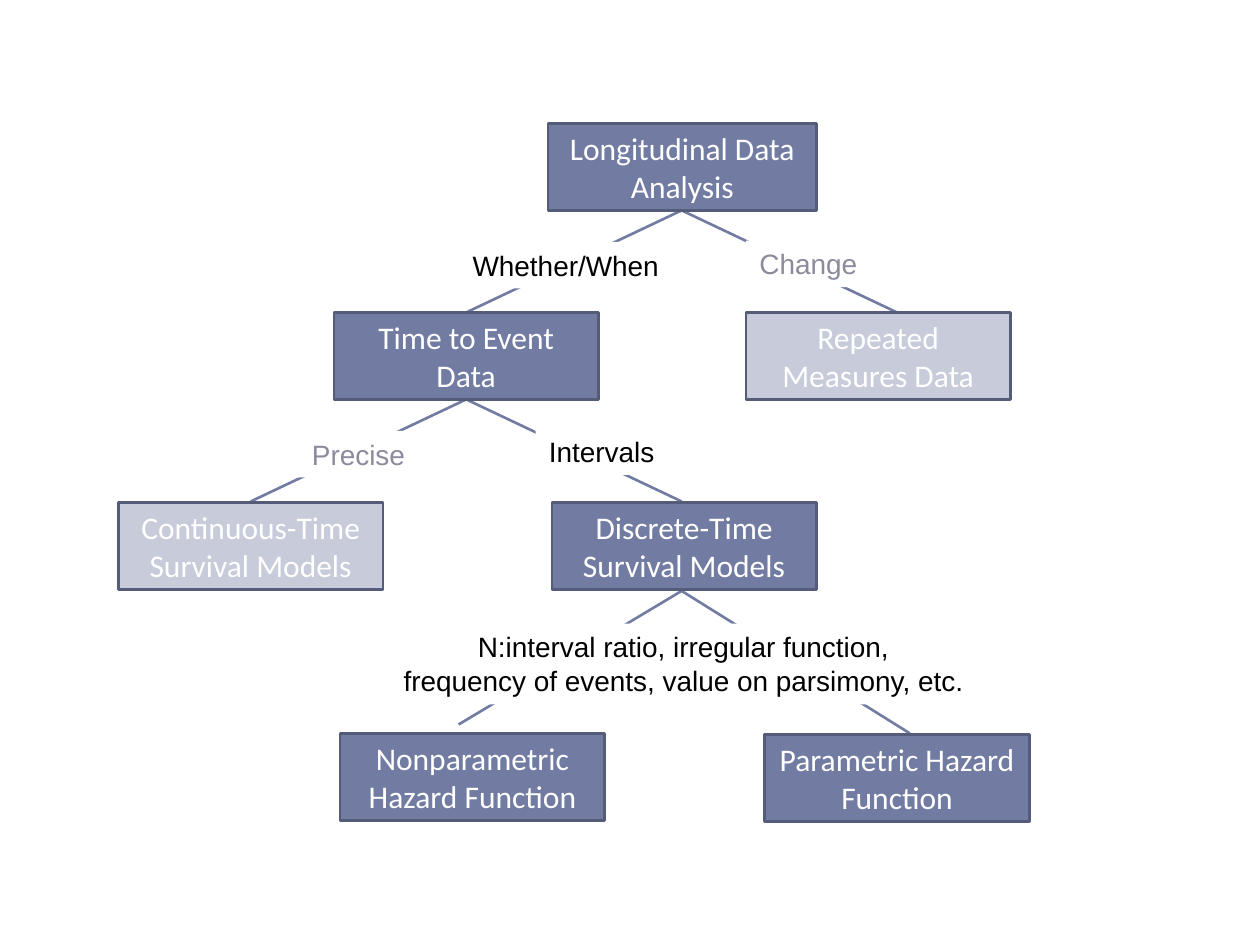
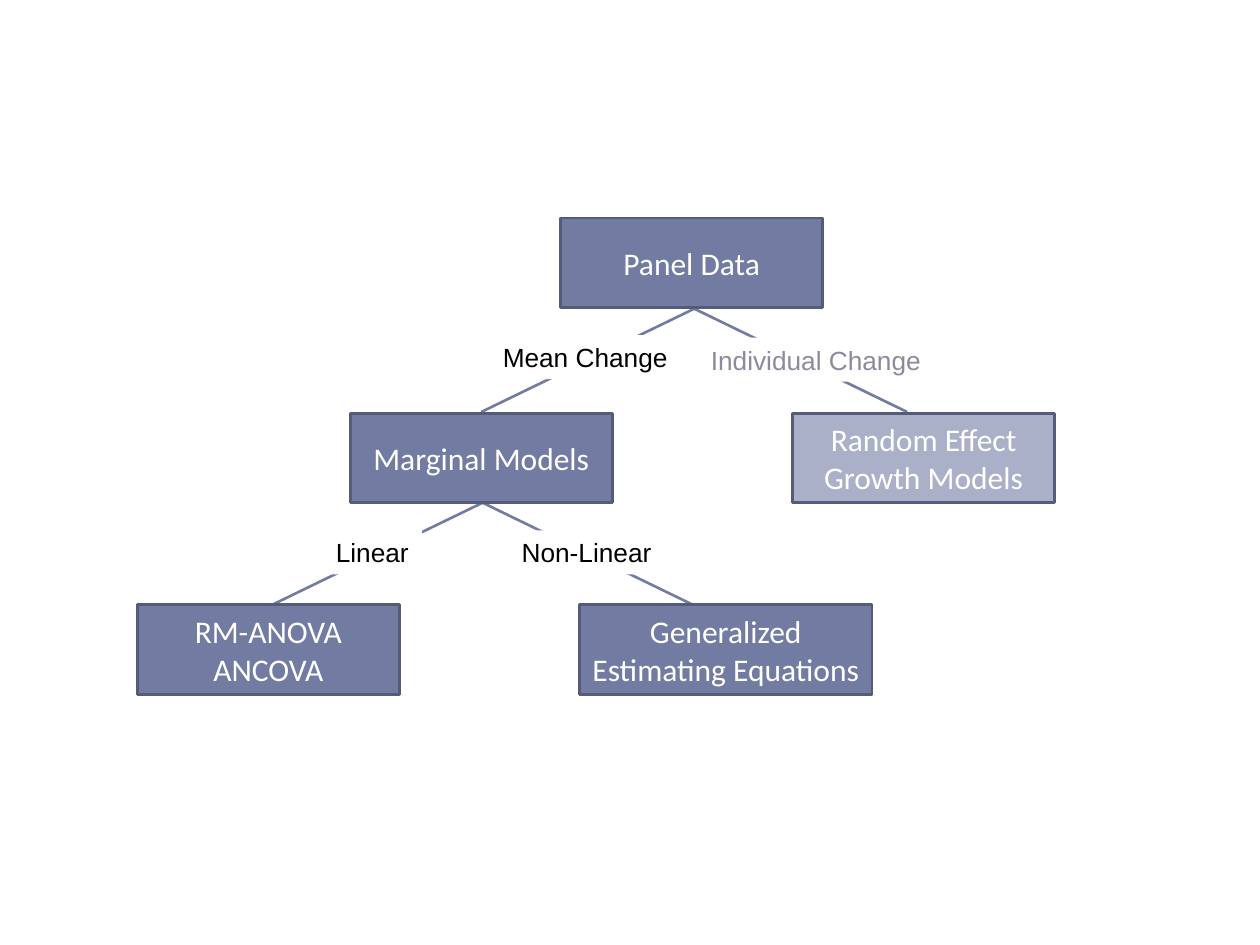
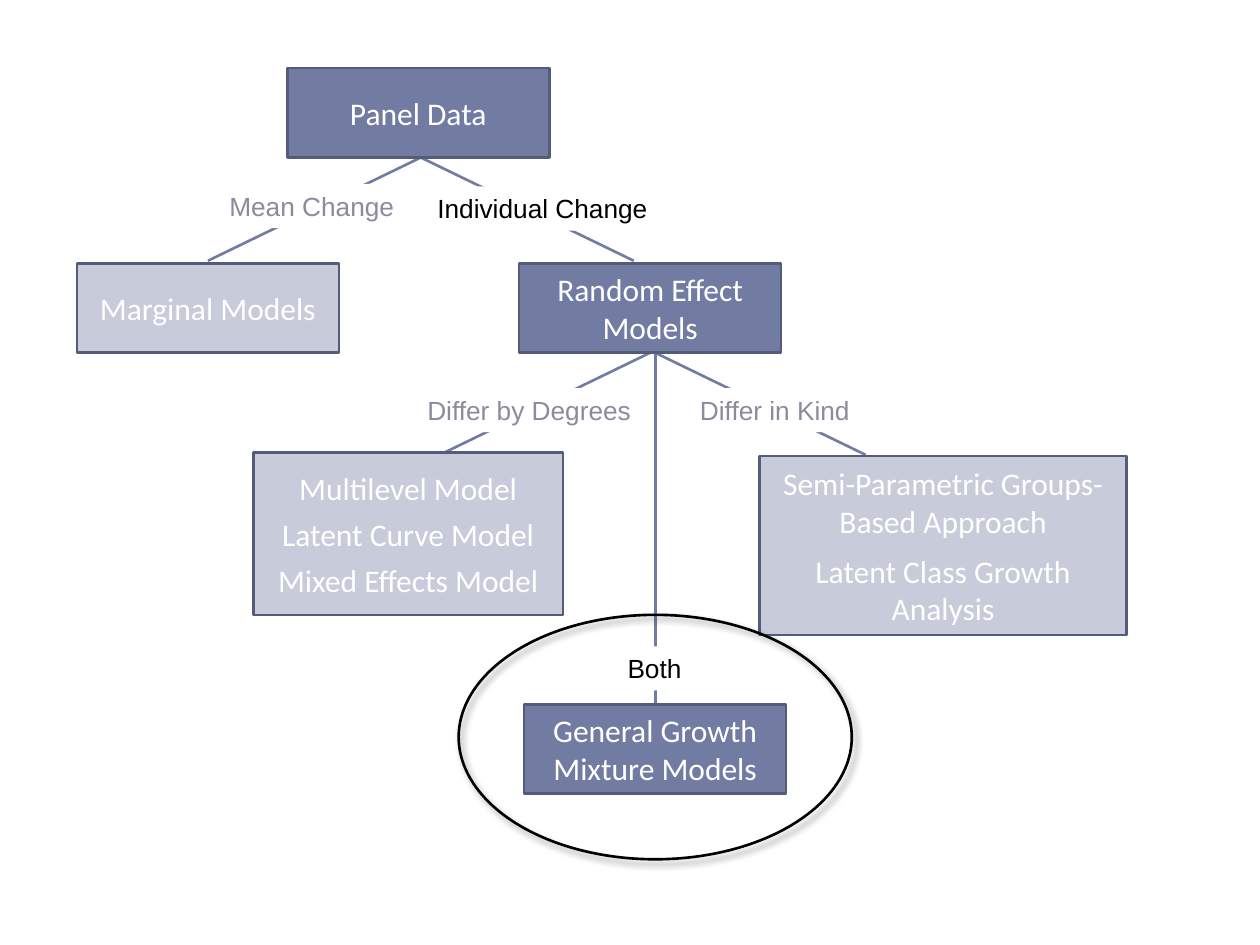
from dataclasses import dataclass

from lxml.etree import SubElement
from pptx import Presentation
from pptx.dml.color import RGBColor
from pptx.enum.shapes import MSO_CONNECTOR, MSO_SHAPE
from pptx.enum.text import MSO_ANCHOR, PP_ALIGN
from pptx.oxml.ns import qn
from pptx.shapes.autoshape import Shape
from pptx.slide import Slide
from pptx.util import Inches, Pt

WHITE = RGBColor(0xFF, 0xFF, 0xFF)
BLACK = RGBColor(0x00, 0x00, 0x00)
SLATE = RGBColor(0x72, 0x7C, 0xA3)
SLATE_DARK = RGBColor(0x54, 0x5C, 0x79)
SLATE_LIGHT = RGBColor(0xAA, 0xB0, 0xC8)
SLATE_PALE = RGBColor(0xC7, 0xCB, 0xDA)
GREY = RGBColor(0x8B, 0x8B, 0x9D)

LINE_WIDTH = Pt(1.5)
BOX_FONT_SIZE = 18


@dataclass(frozen=True)
class Box:
    text: str
    left: float
    top: float
    fill: RGBColor = SLATE
    width: float | None = None
    height: float | None = None
    paragraph_gap: float = 0


@dataclass(frozen=True)
class Label:
    text: str
    left: float
    top: float
    width: float
    color: RGBColor = BLACK


@dataclass(frozen=True)
class Branch:
    """Lines that run from one apex down to several ends."""
    apex: tuple[float, float]
    ends: tuple[tuple[float, float], ...]


@dataclass(frozen=True)
class Ring:
    left: float
    top: float
    width: float
    height: float


@dataclass(frozen=True)
class Tree:
    box_size: tuple[float, float]
    label_font_size: int
    label_line_height: float
    label_padding: float
    branches: tuple[Branch, ...]
    labels: tuple[Label, ...]
    boxes: tuple[Box, ...]
    ring: Ring | None = None


def fork(x: float, y: float, half_width: float, drop: float) -> Branch:
    """Return a symmetrical branch with two ends."""
    return Branch((x, y), ((x - half_width, y + drop), (x + half_width, y + drop)))


TREES = (
    Tree(
        box_size=(2.1, 0.69), label_font_size=16,
        label_line_height=0.27, label_padding=0.1,
        branches=(
            fork(5.41, 1.67, 1.71, 0.81),
            fork(3.7, 3.17, 1.71, 0.81),
            Branch((5.41, 4.69), ((3.64, 5.75), (7.22, 5.82))),
        ),
        labels=(
            Label("Whether/When", 3.64, 1.92, 1.7),
            Label("Change", 5.92, 1.91, 0.99, GREY),
            Label("Precise", 2.19, 3.42, 1.31, GREY),
            Label("Intervals", 4.25, 3.4, 1.05),
            Label("N:interval ratio, irregular function,\n"
                  "frequency of events, value on parsimony, etc.", 2.98, 4.95, 4.89),
        ),
        boxes=(
            Box("Longitudinal Data Analysis", 4.35, 0.98, width=2.13),
            Box("Time to Event Data", 2.65, 2.48),
            Box("Repeated Measures Data", 5.92, 2.48, SLATE_PALE),
            Box("Continuous-Time Survival Models", 0.94, 3.99, SLATE_PALE),
            Box("Discrete-Time Survival Models", 4.38, 3.99),
            Box("Nonparametric Hazard Function", 2.7, 5.82),
            Box("Parametric Hazard Function", 6.07, 5.83),
        ),
    ),
    Tree(
        box_size=(2.08, 0.71), label_font_size=15,
        label_line_height=0.25, label_padding=0.1,
        branches=(fork(5.51, 2.45, 1.69, 0.82), fork(3.83, 3.99, 1.69, 0.82)),
        labels=(
            Label("Mean Change", 3.88, 2.66, 1.53),
            Label("Individual Change", 5.53, 2.68, 1.89, GREY),
            Label("Linear", 2.56, 4.21, 0.79),
            Label("Non-Linear", 4.03, 4.21, 1.25),
        ),
        boxes=(
            Box("Panel Data", 4.45, 1.73),
            Box("Marginal Models", 2.78, 3.28),
            Box("Random Effect Growth Models", 6.29, 3.28, SLATE_LIGHT),
            Box("RM-ANOVA\nANCOVA", 1.09, 4.8),
            Box("Generalized Estimating Equations", 4.6, 4.8, width=2.32),
        ),
    ),
    Tree(
        box_size=(2.08, 0.71), label_font_size=15,
        label_line_height=0.25, label_padding=0.1,
        branches=(
            fork(3.34, 1.25, 1.69, 0.82),
            fork(5.18, 2.79, 1.69, 0.82),
            Branch((5.2, 2.78), ((5.2, 5.58),)),
        ),
        labels=(
            Label("Mean Change", 1.71, 1.46, 1.53, GREY),
            Label("Individual Change", 3.36, 1.48, 1.89),
            Label("Differ by Degrees", 3.28, 3.08, 1.84, GREY),
            Label("Differ in Kind", 5.45, 3.08, 1.4, GREY),
            Label("Both", 4.88, 5.13, 0.63),
        ),
        boxes=(
            Box("Panel Data", 2.28, 0.54),
            Box("Marginal Models", 0.61, 2.09, SLATE_PALE),
            Box("Random Effect Models", 4.12, 2.09),
            Box("Multilevel Model\nLatent Curve Model\nMixed Effects Model",
                2.01, 3.59, SLATE_PALE, 2.46, 1.29, paragraph_gap=4.6),
            Box("Semi-Parametric Groups-Based Approach\nLatent Class Growth Analysis",
                6.03, 3.62, SLATE_PALE, 2.91, 1.42, paragraph_gap=6.9),
            Box("General Growth Mixture Models", 4.16, 5.59),
        ),
        ring=Ring(3.64, 4.88, 3.12, 1.94),
    ),
)


def add_filled_shape(slide: Slide, left: float, top: float, width: float, height: float,
                     fill: RGBColor) -> Shape:
    shape = slide.shapes.add_shape(MSO_SHAPE.RECTANGLE, Inches(left), Inches(top),
                                   Inches(width), Inches(height))
    shape.shadow.inherit = False
    shape.fill.solid()
    shape.fill.fore_color.rgb = fill
    return shape


def write_text(shape: Shape, text: str, font_name: str, size: int, color: RGBColor,
               paragraph_gap: float = 0) -> None:
    frame = shape.text_frame
    frame.text = text
    for index, paragraph in enumerate(frame.paragraphs):
        paragraph.alignment = PP_ALIGN.CENTER
        paragraph.font.name = font_name
        paragraph.font.size = Pt(size)
        paragraph.font.color.rgb = color
        if index and paragraph_gap:
            paragraph.space_before = Pt(paragraph_gap)


def draw_branch(slide: Slide, branch: Branch) -> None:
    start_x, start_y = branch.apex
    for end_x, end_y in branch.ends:
        connector = slide.shapes.add_connector(
            MSO_CONNECTOR.STRAIGHT, Inches(start_x), Inches(start_y),
            Inches(end_x), Inches(end_y))
        connector.line.color.rgb = SLATE
        connector.line.width = LINE_WIDTH
        SubElement(connector._element.spPr, qn("a:effectLst"))


def draw_label(slide: Slide, label: Label, tree: Tree) -> None:
    line_count = label.text.count("\n") + 1
    height = line_count * tree.label_line_height + tree.label_padding
    shape = add_filled_shape(slide, label.left, label.top, label.width, height, WHITE)
    shape.line.fill.background()
    shape.text_frame.word_wrap = False
    shape.text_frame.vertical_anchor = MSO_ANCHOR.TOP
    write_text(shape, label.text, "Arial", tree.label_font_size, label.color)


def draw_box(slide: Slide, box: Box, tree: Tree) -> None:
    width, height = tree.box_size
    shape = add_filled_shape(slide, box.left, box.top, box.width or width,
                             box.height or height, box.fill)
    shape.line.color.rgb = SLATE_DARK
    shape.line.width = LINE_WIDTH
    shape.text_frame.word_wrap = True
    shape.text_frame.vertical_anchor = MSO_ANCHOR.MIDDLE
    write_text(shape, box.text, "Calibri", BOX_FONT_SIZE, WHITE, box.paragraph_gap)


def draw_ring(slide: Slide, ring: Ring) -> None:
    """Draw an unfilled ellipse with a soft shadow to the lower right."""
    shape = slide.shapes.add_shape(MSO_SHAPE.OVAL, Inches(ring.left), Inches(ring.top),
                                   Inches(ring.width), Inches(ring.height))
    shape.fill.background()
    shape.line.color.rgb = BLACK
    shape.line.width = LINE_WIDTH
    effects = SubElement(shape._element.spPr, qn("a:effectLst"))
    shadow = SubElement(effects, qn("a:outerShdw"), blurRad=str(Pt(4)), dist=str(Pt(3)),
                        dir=str(45 * 60000), algn="tl", rotWithShape="0")
    color = SubElement(shadow, qn("a:srgbClr"), val=str(BLACK))
    SubElement(color, qn("a:alpha"), val="40000")


def draw_tree(slide: Slide, tree: Tree) -> None:
    for branch in tree.branches:
        draw_branch(slide, branch)
    for label in tree.labels:
        draw_label(slide, label, tree)
    for box in tree.boxes:
        draw_box(slide, box, tree)
    if tree.ring:
        draw_ring(slide, tree.ring)


def main() -> None:
    presentation = Presentation()
    presentation.slide_width = Inches(10)
    presentation.slide_height = Inches(7.5)
    blank_layout = presentation.slide_layouts[6]
    for tree in TREES:
        draw_tree(presentation.slides.add_slide(blank_layout), tree)
    presentation.save("out.pptx")


if __name__ == "__main__":
    main()
